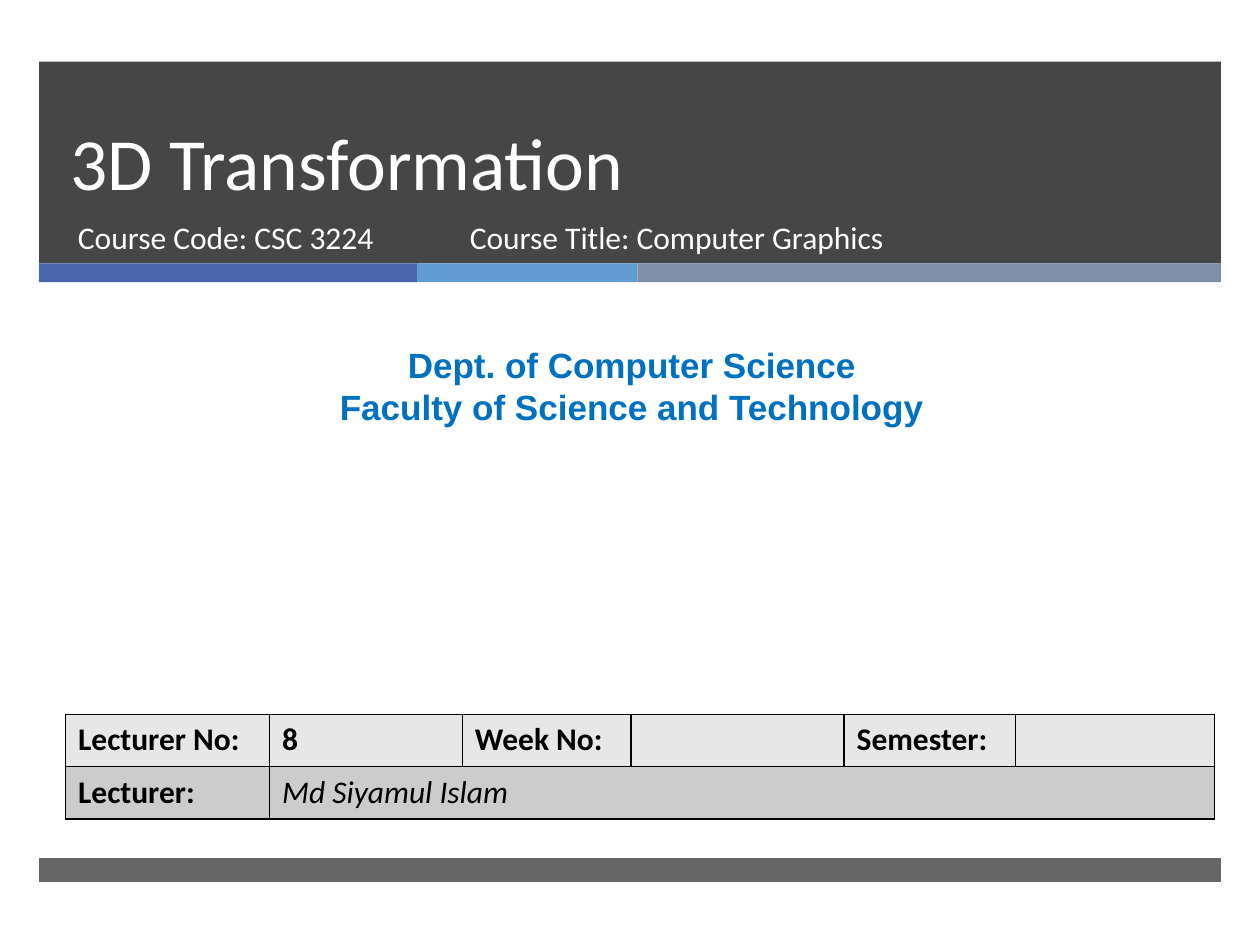
from dataclasses import dataclass

from lxml import etree
from pptx import Presentation
from pptx import util as u
from pptx.dml.color import RGBColor
from pptx.enum import shapes, text
from pptx.oxml import ns


@dataclass(frozen=True)
class Theme:
    """Colours, fonts and type sizes of the lecture cover."""
    dark: str = "262626"
    white: str = "FFFFFF"
    ink: str = "000000"
    department: str = "0070C0"
    stripes: tuple = ("4A66AC", "629DD1", "7F8FA9")
    rows: tuple = ("E7E7E7", "CCCCCC")
    body_font: str = "Calibri"
    department_font: str = "Arial"
    title_size: int = 42
    department_size: int = 20
    body_size: int = 18


THEME = Theme()


def write(frame, lines, *, color, size=THEME.body_size, font=THEME.body_font,
          bold=False, italic=False, align=text.PP_ALIGN.LEFT,
          anchor=text.MSO_ANCHOR.TOP, spacing=None):
    """Write one paragraph per line with a shared format."""
    frame.word_wrap = True
    frame.vertical_anchor = anchor
    for index, line in enumerate(lines):
        paragraph = frame.paragraphs[0] if index == 0 else frame.add_paragraph()
        paragraph.alignment = align
        if spacing:
            paragraph.line_spacing = u.Pt(spacing)
        run = paragraph.add_run()
        run.text = line
        run.font.name = font
        run.font.size = u.Pt(size)
        run.font.bold = bold
        run.font.italic = italic
        run.font.color.rgb = RGBColor.from_string(color)


def add_label(slide, box, lines, **style):
    """Add a text box over the given box."""
    label = slide.shapes.add_textbox(*map(u.Inches, box))
    write(label.text_frame, lines, **style)


def add_bar(slide, box, color, opacity=100):
    """Add a borderless rectangle, optionally see-through."""
    bar = slide.shapes.add_shape(shapes.MSO_SHAPE.RECTANGLE, *map(u.Inches, box))
    bar.shadow.inherit = False
    bar.line.fill.background()
    bar.fill.solid()
    bar.fill.fore_color.rgb = RGBColor.from_string(color)
    if opacity < 100:
        tint = bar.fill._xPr.find(".//" + ns.qn("a:srgbClr"))
        etree.SubElement(tint, ns.qn("a:alpha"), val=str(opacity * 1000))


def add_header(slide, box):
    """Place the dark banner with the title and both course lines."""
    left, top, width, height = box
    add_bar(slide, box, THEME.dark, opacity=85)
    add_label(slide, (left + 0.15, top, width - 0.84, 1.19), ["3D Transformation"],
              color=THEME.white, size=THEME.title_size, spacing=46,
              anchor=text.MSO_ANCHOR.BOTTOM)
    courses = ((0.21, 3.05, "Course Code: CSC 3224"),
               (3.32, 4.55, "Course Title: Computer Graphics"))
    for offset, course_width, course in courses:
        add_label(slide, (left + offset, top + 1.19, course_width, 0.53), [course],
                  color=THEME.white)


def add_stripes(slide, box, widths):
    """Place the coloured stripes side by side."""
    left, top, _, height = box
    for color, width in zip(THEME.stripes, widths):
        add_bar(slide, (left, top, width, height), color)
        left += width


def add_department(slide, box):
    """Place the centred department and faculty lines."""
    add_label(slide, box,
              ["Dept. of Computer Science", "Faculty of Science and Technology"],
              color=THEME.department, size=THEME.department_size,
              font=THEME.department_font, bold=True,
              align=text.PP_ALIGN.CENTER, spacing=24)


def add_borders(cell):
    """Draw a thin line on all four sides of a cell."""
    properties = cell._tc.get_or_add_tcPr()
    for position, side in enumerate(("lnL", "lnR", "lnT", "lnB")):
        border = etree.Element(ns.qn("a:" + side), w=str(u.Pt(1)))
        fill = etree.SubElement(border, ns.qn("a:solidFill"))
        etree.SubElement(fill, ns.qn("a:srgbClr"), val=THEME.ink)
        properties.insert(position, border)


def add_lecture_table(slide, box, widths):
    """Place the lecture details, with the lecturer spanning the second row."""
    details = (("Lecturer No:", "8", "Week No:", "", "Semester:", ""),
               ("Lecturer:", "Md Siyamul Islam", "", "", "", ""))
    table = slide.shapes.add_table(len(details), len(widths),
                                   *map(u.Inches, box)).table
    for column, width in zip(table.columns, widths):
        column.width = u.Inches(width)
    table.cell(1, 1).merge(table.cell(1, len(widths) - 1))
    for row, (values, color) in enumerate(zip(details, THEME.rows)):
        for column, value in enumerate(values):
            cell = table.cell(row, column)
            cell.fill.solid()
            cell.fill.fore_color.rgb = RGBColor.from_string(color)
            add_borders(cell)
            lecturer = (row, column) == (1, 1)
            if value:
                write(cell.text_frame, [value], color=THEME.ink,
                      bold=not lecturer, italic=lecturer)


def main():
    """Build the lecture cover slide."""
    deck = Presentation()
    deck.slide_width, deck.slide_height = u.Inches(10), u.Inches(7.5)
    slide = deck.slides.add_slide(deck.slide_layouts[6])
    left, width = 0.31, 9.38
    add_header(slide, (left, 0.49, width, 1.6))
    add_stripes(slide, (left, 2.09, width, 0.15), (3, 1.75, 4.63))
    add_bar(slide, (left, 6.81, width, 0.19), THEME.dark, opacity=70)
    add_department(slide, (0.08, 2.68, 9.87, 0.77))
    add_lecture_table(slide, (0.52, 5.67, 9.12, 0.83),
                      (1.62, 1.53, 1.34, 1.69, 1.36, 1.58))
    deck.save("out.pptx")


if __name__ == "__main__":
    main()
